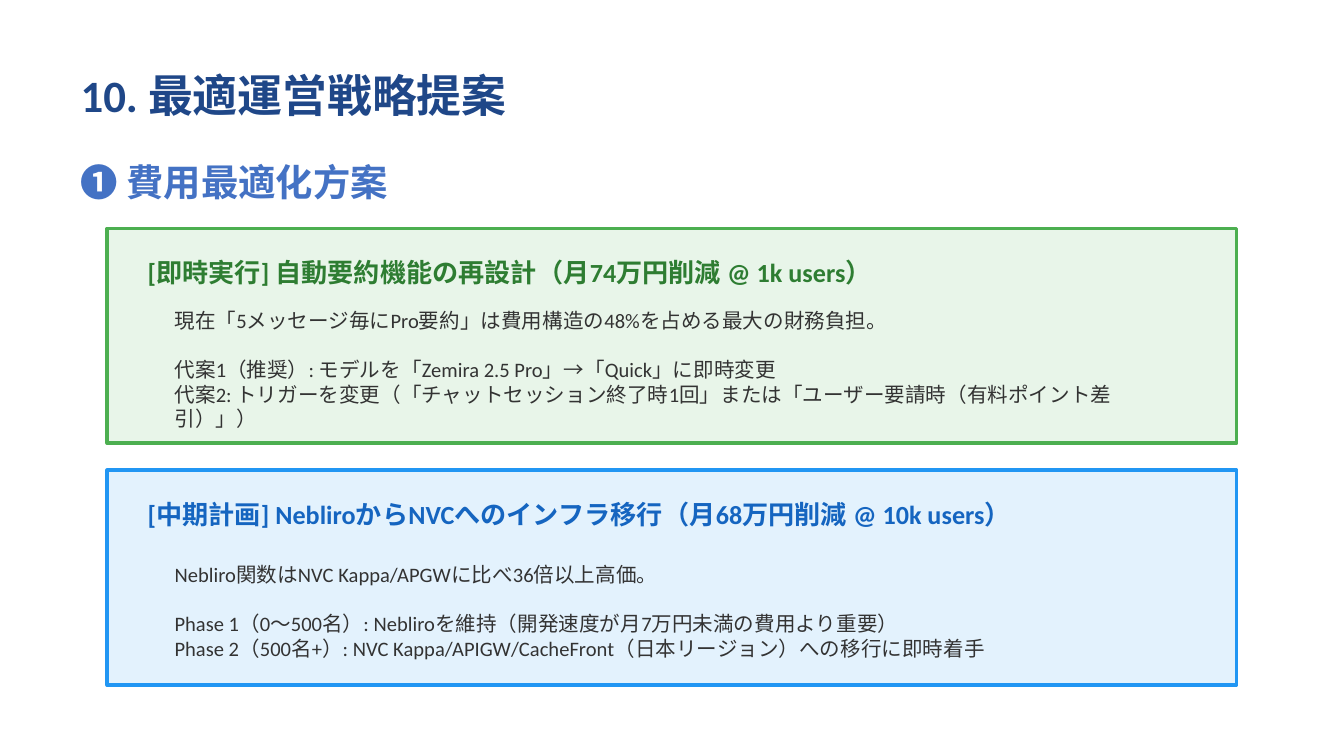
"""Build the slide that proposes an optimal operating strategy."""
from dataclasses import dataclass

from pptx import Presentation
from pptx.dml.color import RGBColor
from pptx.enum.shapes import MSO_SHAPE
from pptx.enum.text import MSO_ANCHOR, MSO_AUTO_SIZE, PP_ALIGN
from pptx.slide import Slide
from pptx.text.text import TextFrame
from pptx.util import Cm, Pt


@dataclass
class Card:
    """Hold the wording and colours of one plan."""
    head: str
    lead: str
    steps: list[str]
    fill: str
    edge: str
    ink: str


CARDS = [
    Card(
        "[即時実行] 自動要約機能の再設計（月74万円削減 @ 1k users）",
        "現在「5メッセージ毎にPro要約」は費用構造の48%を占める最大の財務負担。",
        ["代案1（推奨）: モデルを「Zemira 2.5 Pro」→「Quick」に即時変更",
         "代案2: トリガーを変更（「チャットセッション終了時1回」または"
         "「ユーザー要請時（有料ポイント差引）」）"],
        "E8F5E9", "4CAF50", "2E7D32"),
    Card(
        "[中期計画] NebliroからNVCへのインフラ移行（月68万円削減 @ 10k users）",
        "Nebliro関数はNVC Kappa/APGWに比べ36倍以上高価。",
        ["Phase 1（0～500名）: Nebliroを維持（開発速度が月7万円未満の費用より重要）",
         "Phase 2（500名+）: NVC Kappa/APIGW/CacheFront（日本リージョン）への移行に即時着手"],
        "E3F2FD", "2196F3", "1565C0"),
]
TOP, STEP = 4.32, 4.57


def tint(code: str) -> RGBColor:
    """Turn a hex string into a colour."""
    return RGBColor.from_string(code)


def write(frame: TextFrame, *lines: str, size: float, ink: str,
          bold: bool = False, gap: float = 0) -> None:
    """Fill a frame with lines, leaving a gap after the first."""
    frame.word_wrap = True
    frame.auto_size = MSO_AUTO_SIZE.NONE
    frame.vertical_anchor = MSO_ANCHOR.MIDDLE
    for i, line in enumerate(lines):
        para = frame.add_paragraph() if i else frame.paragraphs[0]
        para.alignment = PP_ALIGN.LEFT
        if i == 1:
            para.space_before = Pt(gap)
        run = para.add_run()
        run.text = line
        run.font.name = "Calibri"
        run.font.size = Pt(size)
        run.font.bold = bold
        run.font.color.rgb = tint(ink)


def add_box(slide: Slide, left: float, top: float, width: float, height: float) -> TextFrame:
    """Add a text box and return its frame."""
    return slide.shapes.add_textbox(Cm(left), Cm(top), Cm(width), Cm(height)).text_frame


def add_card(slide: Slide, card: Card, top: float) -> None:
    """Draw one plan as a panel with a heading and details."""
    panel = slide.shapes.add_shape(MSO_SHAPE.RECTANGLE, Cm(2.03), Cm(top), Cm(21.34), Cm(4.06))
    panel.shadow.inherit = False
    panel.fill.solid()
    panel.fill.fore_color.rgb = tint(card.fill)
    panel.line.color.rgb = tint(card.edge)
    panel.line.width = Pt(2)
    head = add_box(slide, 2.54, top + 0.38, 20.32, 0.89)
    write(head, card.head, size=14, ink=card.ink, bold=True)
    body = add_box(slide, 3.05, top + 1.52, 19.3, 2.29)
    write(body, card.lead, *card.steps, size=11, ink="333333", gap=13)


def main() -> None:
    """Build and save the deck."""
    deck = Presentation()
    deck.slide_width, deck.slide_height = Cm(25.4), Cm(14.29)
    slide = deck.slides.add_slide(deck.slide_layouts[5])
    title = slide.shapes.title
    title.left, title.top, title.width, title.height = Cm(1.27), Cm(1.02), Cm(22.86), Cm(1.52)
    write(title.text_frame, "10. 最適運営戦略提案", size=24, ink="1F4788", bold=True)
    topic = add_box(slide, 1.27, 2.79, 22.86, 1.27)
    write(topic, "❶ 費用最適化方案", size=20, ink="4472C4", bold=True)
    for i, card in enumerate(CARDS):
        add_card(slide, card, TOP + i * STEP)
    deck.save("out.pptx")


if __name__ == "__main__":
    main()
